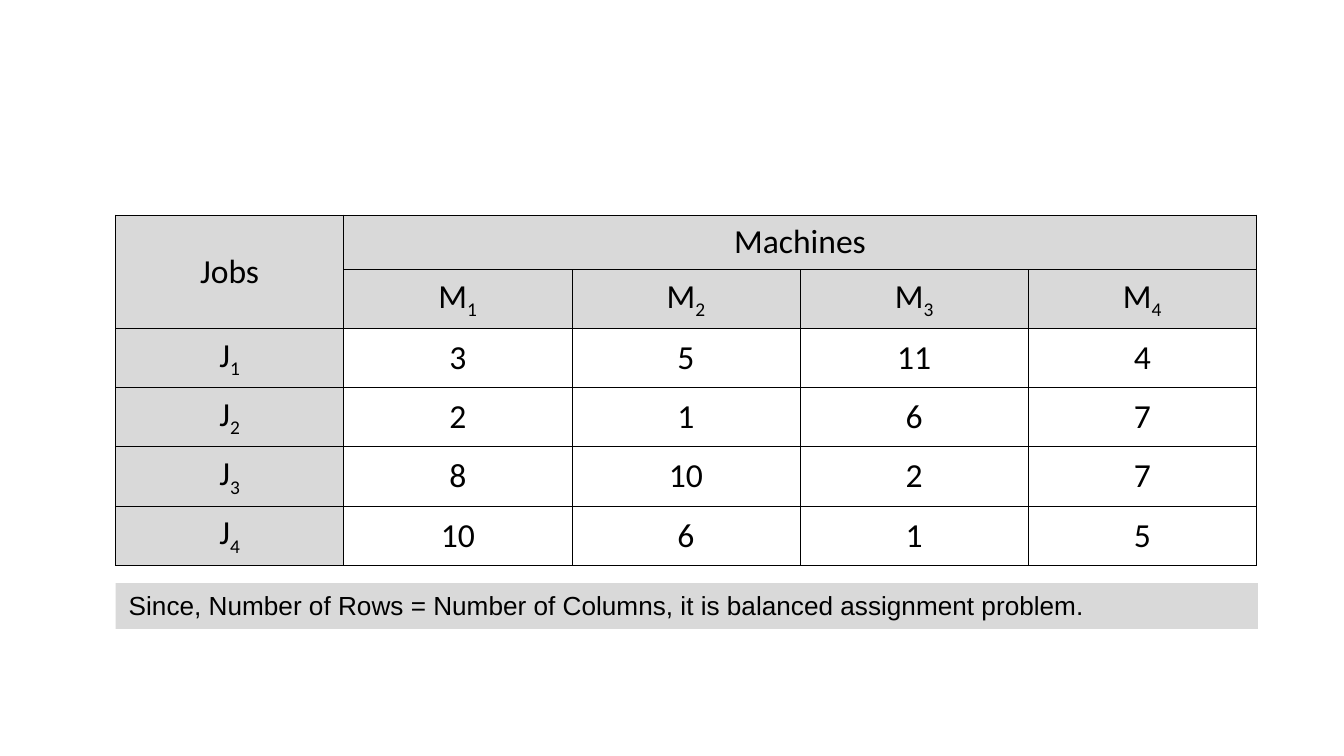
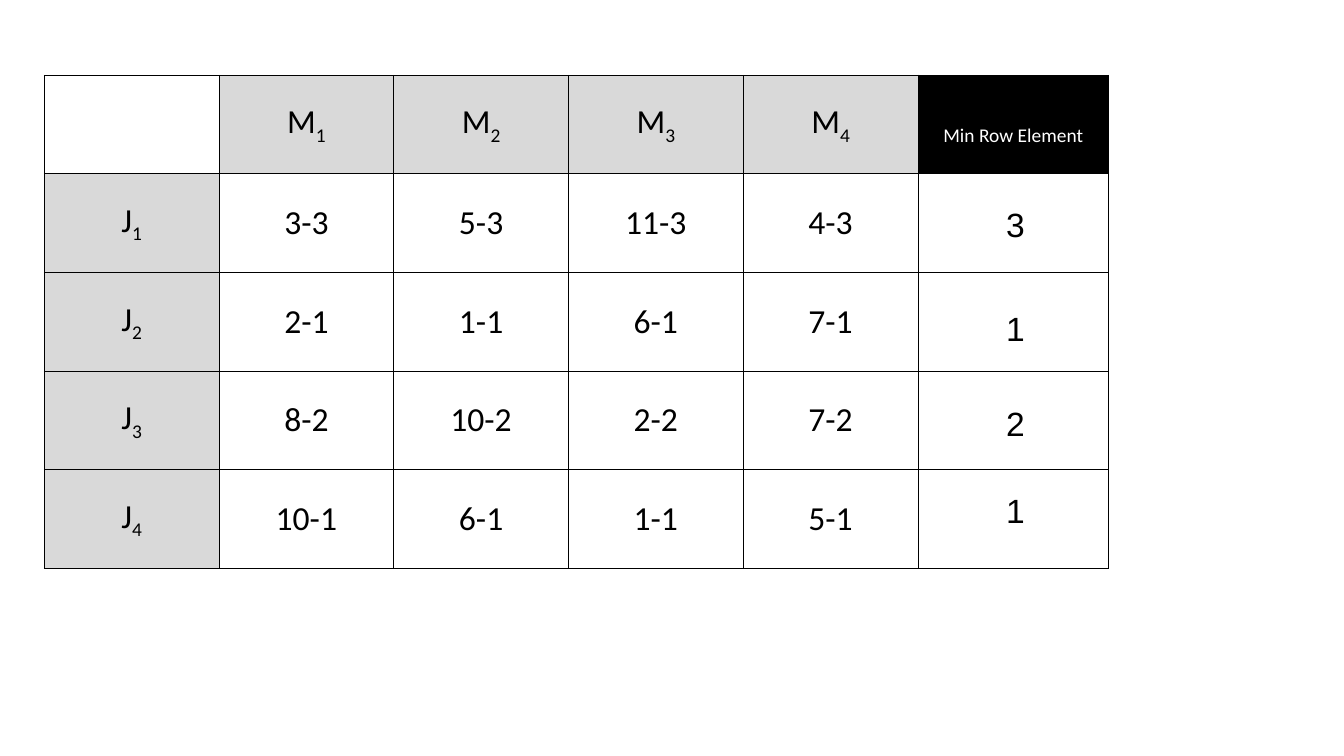
from lxml.etree import SubElement
from pptx import Presentation
from pptx.dml.color import RGBColor
from pptx.enum.shapes import MSO_SHAPE
from pptx.enum.text import MSO_ANCHOR, PP_ALIGN
from pptx.oxml.ns import qn
from pptx.util import Inches, Pt

GREY = "D9D9D9"
BLACK = "000000"
WHITE = "FFFFFF"
BORDER_WIDTH = Pt(0.45)


def write(frame, text, font="Calibri", size=18, color=BLACK, align=PP_ALIGN.CENTER):
    paragraph = frame.paragraphs[0]
    paragraph.alignment = align
    for level, part in enumerate(text.split("_")):
        if part:
            run = paragraph.add_run()
            run.text = part
            run.font.name = font
            run.font.size = Pt(size)
            run.font.color.rgb = RGBColor.from_string(color)
            if level:
                run.font._element.set("baseline", "-25000")


def add_grid(slide, rows, left, top, width, row_heights,
             header_fill=GREY, header_color=BLACK):
    column_count = len(rows[0])
    table = slide.shapes.add_table(
        len(rows), column_count, Inches(left), Inches(top),
        Inches(width), Inches(sum(row_heights))).table
    table.first_row = False
    table.horz_banding = False
    for column in table.columns:
        column.width = Inches(width / column_count)
    for row, height in zip(table.rows, row_heights):
        row.height = Inches(height)
    for row_index, labels in enumerate(rows):
        for column_index, label in enumerate(labels):
            cell = table.cell(row_index, column_index)
            cell.vertical_anchor = MSO_ANCHOR.MIDDLE
            properties = cell._tc.get_or_add_tcPr()
            for side in ("a:lnL", "a:lnR", "a:lnT", "a:lnB"):
                border = SubElement(properties, qn(side), w=str(BORDER_WIDTH))
                border_fill = SubElement(border, qn("a:solidFill"))
                SubElement(border_fill, qn("a:srgbClr"), val=BLACK)
            is_header = label != "" and not label[0].isdigit()
            if is_header:
                cell.fill.solid()
                cell.fill.fore_color.rgb = RGBColor.from_string(header_fill)
            else:
                cell.fill.background()
            if label:
                write(cell.text_frame, label, color=header_color if is_header else BLACK)
    return table


presentation = Presentation()
presentation.slide_width = Inches(10)
presentation.slide_height = presentation.slide_width * 9 // 16
blank = presentation.slide_layouts[6]

machines = ["M_1", "M_2", "M_3", "M_4"]
costs = [[3, 5, 11, 4], [2, 1, 6, 7], [8, 10, 2, 7], [10, 6, 1, 5]]
row_minimums = [min(row) for row in costs]

cost_slide = presentation.slides.add_slide(blank)
cost_rows = [["Jobs", "Machines", "", "", ""], [""] + machines]
for job, row in enumerate(costs, 1):
    cost_rows.append([f"J_{job}"] + [str(cost) for cost in row])
cost_table = add_grid(cost_slide, cost_rows, 0.86, 1.6, 8.49, [0.4] + [0.44] * 5)
cost_table.cell(0, 0).merge(cost_table.cell(1, 0))
cost_table.cell(0, 1).merge(cost_table.cell(0, 4))

balance_note = cost_slide.shapes.add_shape(
    MSO_SHAPE.RECTANGLE, Inches(0.86), Inches(4.34), Inches(8.5), Inches(0.34))
balance_note.shadow.inherit = False
balance_note.fill.solid()
balance_note.fill.fore_color.rgb = RGBColor.from_string(GREY)
balance_note.line.fill.background()
balance_note.text_frame.word_wrap = True
balance_note.text_frame.vertical_anchor = MSO_ANCHOR.TOP
write(balance_note.text_frame,
      "Since, Number of Rows = Number of Columns, it is balanced assignment problem.",
      font="Arial", size=14, align=PP_ALIGN.LEFT)

reduction_slide = presentation.slides.add_slide(blank)
reduction_rows = [[""] + machines]
for job, (row, minimum) in enumerate(zip(costs, row_minimums), 1):
    reduction_rows.append([f"J_{job}"] + [f"{cost}-{minimum}" for cost in row])
reduction_heights = [3.67 / 5] * 5
add_grid(reduction_slide, reduction_rows, 0.33, 0.56, 6.5, reduction_heights)
add_grid(reduction_slide, [["_Min Row Element"], [""], [""], [""], [""]],
         6.83, 0.56, 1.42, reduction_heights, header_fill=BLACK, header_color=WHITE)

for minimum, top in zip(row_minimums, (1.47, 2.24, 2.95, 3.6)):
    minimum_label = reduction_slide.shapes.add_textbox(
        Inches(7.22), Inches(top), Inches(0.67), Inches(0.4))
    minimum_label.text_frame.word_wrap = True
    write(minimum_label.text_frame, str(minimum), font="Arial")

presentation.save("out.pptx")
